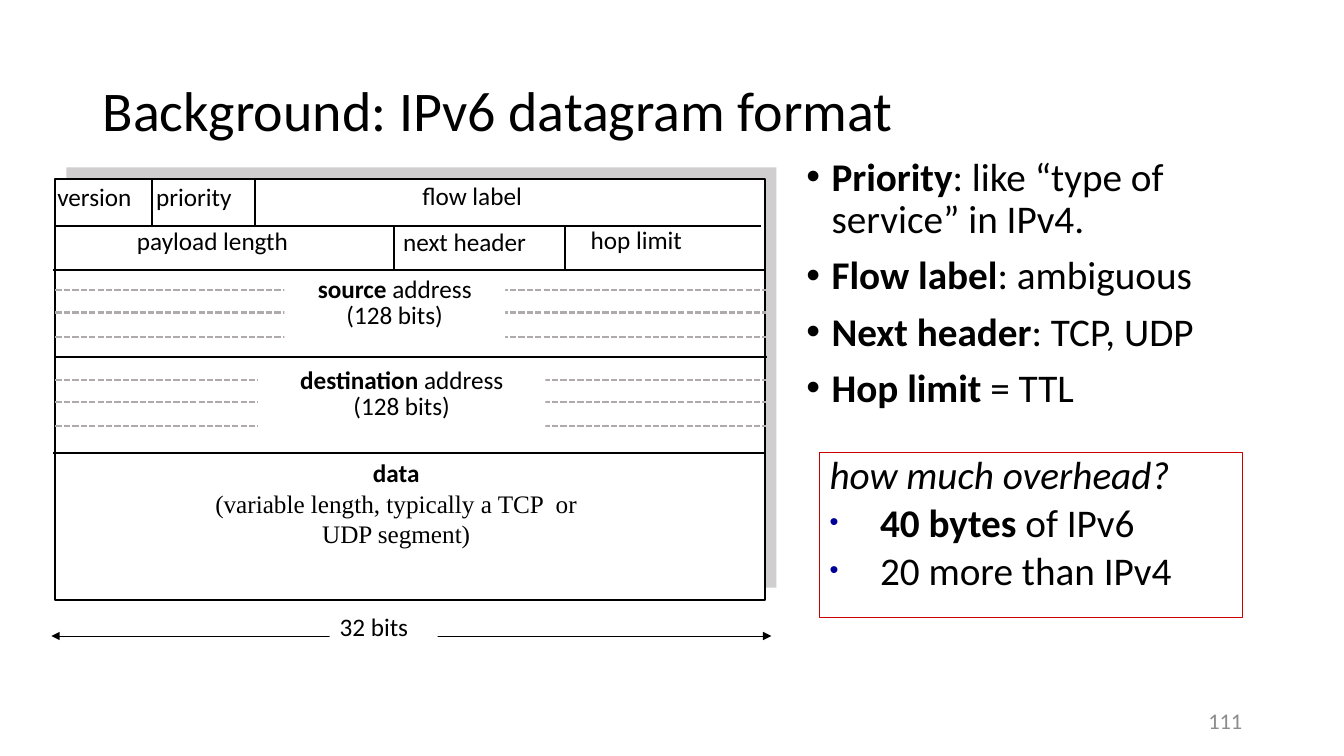
from pptx import Presentation
from pptx.dml.color import RGBColor
from pptx.enum.dml import MSO_LINE
from pptx.enum.shapes import MSO_CONNECTOR, MSO_SHAPE
from pptx.enum.text import MSO_ANCHOR, PP_ALIGN
from pptx.oxml.ns import qn
from pptx.util import Emu, Pt
from lxml.etree import SubElement

# Content: a paragraph is a list of (text, style) runs
TITLE = "Background: IPv6 datagram format"
PAGE = "111"
NOTES = [
    [("Priority", "b"), (": like “type of service” in IPv4.", "")],
    [("Flow label", "b"), (": ambiguous", "")],
    [("Next header", "b"), (": TCP, UDP", "")],
    [("Hop limit ", "b"), ("= TTL", "")],
]
ASK = [
    [("how much overhead?", "i")],
    [("40 bytes ", "b"), ("of IPv6", "")],
    [("20 more than IPv4", "")],
]
DATA = [
    [("data", "b")],
    [("(variable length, typically a TCP  or UDP segment)", "")],
]
FIELDS = [  # text, left, top, width
    ("version", 47, 175, 115),
    ("priority", 145, 175, 116),
    ("flow label", 409, 174, 147),
    ("payload length", 126, 219, 209),
    ("next header", 390, 220, 172),
    ("hop limit", 576, 218, 139),
]
ADDRS = [  # name, box, first dashed line
    ("source", (282, 271, 219, 80), 288),
    ("destination", (256, 361, 285, 79), 377),
]
ROWS = [(55, 755, 224), (53, 759, 268), (55, 761, 354), (53, 758, 449)]
COLS = [(151, 179), (253, 179), (391, 224), (560, 224)]  # x, top
CELL = 44
DASHES = (0, 22, 46)
FRAME = (55, 178, 704, 417)
SHIFT = 11, -12

PX = 9144  # EMU, 100 px to the inch
BLACK, WHITE, GREY = "000000", "FFFFFF", "AFABAB"


def px(n):
    return Emu(n * PX)


def rgb(code):
    return RGBColor.from_string(code)


deck = Presentation()
deck.slide_width, deck.slide_height = px(1333), px(750)
slide = deck.slides.add_slide(deck.slide_layouts[6])
shapes = slide.shapes


def rect(box, fill=None, line=None, width=1.5):
    shape = shapes.add_shape(MSO_SHAPE.RECTANGLE, *map(px, box))
    shape.shadow.inherit = False
    if fill:
        shape.fill.solid()
        shape.fill.fore_color.rgb = rgb(fill)
    else:
        shape.fill.background()
    if line:
        shape.line.color.rgb = rgb(line)
        shape.line.width = Pt(width)
    else:
        shape.line.fill.background()
    return shape


def rule(x1, y1, x2, y2, color=BLACK, width=1.5, dash=None, heads=False):
    line = shapes.add_connector(MSO_CONNECTOR.STRAIGHT, *map(px, (x1, y1, x2, y2)))
    line.line.color.rgb = rgb(color)
    line.line.width = Pt(width)
    if dash:
        line.line.dash_style = dash
    if heads:
        for end in ("a:headEnd", "a:tailEnd"):
            SubElement(line.line._get_or_add_ln(), qn(end), type="triangle")
    SubElement(line._element.spPr, qn("a:effectLst"))


def write(shape, paras, size, align=PP_ALIGN.LEFT, color=BLACK, space=1.0,
          gap=0, anchor=MSO_ANCHOR.TOP):
    frame = shape.text_frame
    frame.word_wrap = True
    frame.vertical_anchor = anchor
    for i, runs in enumerate(paras):
        para = frame.add_paragraph() if i else frame.paragraphs[0]
        para.alignment = align
        para.line_spacing = space
        para.space_before = Pt(gap if i else 0)
        for text, style in runs:
            run = para.add_run()
            run.text = text
            font = run.font
            font.name, font.size = "Calibri", Pt(size)
            font.color.rgb = rgb(color)
            font.bold, font.italic = "b" in style, "i" in style
    return frame.paragraphs


def label(box, paras, size, **look):
    return write(shapes.add_textbox(*map(px, box)), paras, size, **look)


def bullet(para, indent, color=None, scale=None):
    props = para._p.get_or_add_pPr()
    props.set("marL", str(px(indent)))
    props.set("indent", str(-px(indent)))
    if color:
        SubElement(SubElement(props, qn("a:buClr")), qn("a:srgbClr"), val=color)
    if scale:
        SubElement(props, qn("a:buSzPct"), val=str(scale * 1000))
    SubElement(props, qn("a:buFont"), typeface="Arial")
    SubElement(props, qn("a:buChar"), char="•")


# Title, page number and notes
label((92, 40, 1150, 145), [[(TITLE, "")]], 40, space=0.9, anchor=MSO_ANCHOR.MIDDLE)
label((942, 695, 300, 40), [[(PAGE, "")]], 16, align=PP_ALIGN.RIGHT,
      color="8C8C8C", anchor=MSO_ANCHOR.MIDDLE)
for para in label((790, 151, 483, 273), NOTES, 28, space=0.9, gap=10):
    bullet(para, 25)

# Datagram frame with its backdrop
left, top, wide, high = FRAME
rect((left + SHIFT[0], top + SHIFT[1], wide, high), "D0CECE")
rect(FRAME, WHITE, BLACK)
for x1, x2, y in ROWS:
    rule(x1, y, x2, y)
for x, y in COLS:
    rule(x, y, x, y + CELL)

# Field names and data
for text, x, y, w in FIELDS:
    label((x, y, w, 50), [[(text, "")]], 18)
body = label((203, 449, 380, 131), DATA, 18, align=PP_ALIGN.CENTER)
body[1].runs[0].font.name = "Times New Roman"

# Addresses over dashed word lines
for name, box, y in ADDRS:
    for step in DASHES:
        rule(left, y + step, 760, y + step, GREY, dash=MSO_LINE.SQUARE_DOT)
    write(rect(box, WHITE), [[(name, "b"), (" address", "")], [("(128 bits)", "")]],
          18, align=PP_ALIGN.CENTER, space=0.85)

# Width arrow
rule(51, 631, 765, 631, width=0.75, heads=True)
write(rect((327, 602, 107, 50), WHITE), [[("32 bits", "")]], 18)

# Overhead box
ask = write(rect((813, 449, 419, 164), line="CC0000", width=0.75), ASK, 28,
            space=0.85, gap=5.6)
for para in ask[1:]:
    bullet(para, 50, "000099", 65)

deck.save("out.pptx")
